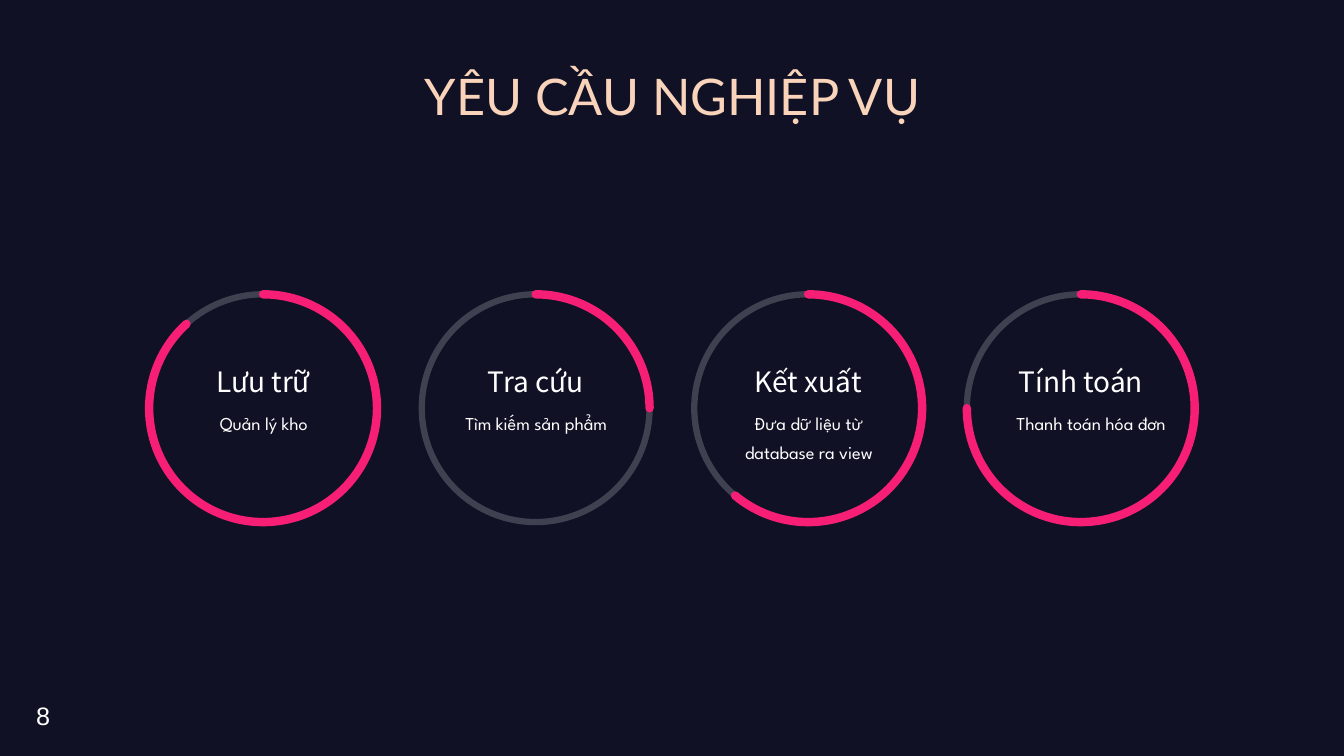
from dataclasses import dataclass

from lxml import etree
from pptx import Presentation
from pptx.dml.color import RGBColor
from pptx.enum.shapes import MSO_SHAPE
from pptx.enum.text import MSO_ANCHOR, PP_ALIGN
from pptx.oxml.ns import qn
from pptx.util import Inches, Pt

ARC = MSO_SHAPE.ARC
CENTER, LEFT = PP_ALIGN.CENTER, PP_ALIGN.LEFT
TOP = MSO_ANCHOR.TOP

COLORS = {"background": "101125", "title": "F9D3BA", "text": "FFFFFF",
          "track": "FFFFFF", "progress": "F71E76"}

RING_TOP, RING_SIZE = 2.92, 2.26
FIRST_LEFT, LAST_LEFT = 1.48, 9.59
ARC_UNITS_PER_DEGREE = 0.6
TRACK_START, TRACK_END = 335.26, 323.7
PROGRESS_START = 270


@dataclass(frozen=True)
class TextStyle:
    font: str
    size: float
    color: str = "text"
    align: PP_ALIGN = CENTER
    line_spacing: float = 1.0
    wrap: bool = True


@dataclass(frozen=True)
class Requirement:
    heading: str
    detail: str
    end_angle: float
    detail_width: float = 1.89
    detail_height: float = 0.36


TITLE = TextStyle("Lato", 36, "title")
HEADING = TextStyle("Noto Sans CJK SC", 20, wrap=False)
DETAIL = TextStyle("League Spartan", 13, line_spacing=1.3)
PAGE_NUMBER = TextStyle("Arial", 18, align=LEFT)

REQUIREMENTS = [
    Requirement("Lưu trữ", "Quản lý kho", 227.76),
    Requirement("Tra cứu", "Tìm kiếm sản phẩm", 0),
    Requirement("Kết xuất", "Đưa dữ liệu từ database ra view", 129.96,
                detail_height=0.64),
    Requirement("Tính toán", "Thanh toán hóa đơn", 180, detail_width=2.08),
]


def rgb(name: str) -> RGBColor:
    return RGBColor.from_string(COLORS[name])


def write_text(s, text: str, style: TextStyle) -> None:
    tf = s.text_frame
    frame_format = {"word_wrap": style.wrap, "vertical_anchor": TOP}
    for name, value in frame_format.items():
        setattr(tf, name, value)
    p = tf.paragraphs[0]
    paragraph_format = {"alignment": style.align, "line_spacing": style.line_spacing,
                        "space_before": Pt(0)}
    for name, value in paragraph_format.items():
        setattr(p, name, value)
    r = p.add_run()
    r.text = text
    font_format = {"name": style.font, "size": Pt(style.size), "bold": False}
    for name, value in font_format.items():
        setattr(r.font, name, value)
    r.font.color.rgb = rgb(style.color)
    for tag in ("a:ea", "a:cs"):
        etree.SubElement(r.font._element, qn(tag), typeface=style.font)


def add_text(shapes, left: float, top: float, width: float, height: float,
             text: str, style: TextStyle) -> None:
    s = shapes.add_textbox(Inches(left), Inches(top), Inches(width), Inches(height))
    write_text(s, text, style)


def add_arc(shapes, left: float, start: float, end: float, color: str,
            weight: float, opacity: int = 100, cap: str = "flat") -> None:
    """Draw a clockwise arc; angles are degrees from three o'clock."""
    s = shapes.add_shape(ARC, Inches(left), Inches(RING_TOP),
                         Inches(RING_SIZE), Inches(RING_SIZE))
    s.shadow.inherit = False
    s.adjustments[0] = start * ARC_UNITS_PER_DEGREE
    s.adjustments[1] = end * ARC_UNITS_PER_DEGREE
    s.fill.background()
    s.line.color.rgb = rgb(color)
    s.line.width = Pt(weight)
    ln = s.line._get_or_add_ln()
    ln.set("cap", cap)
    if opacity < 100:
        etree.SubElement(ln.find(".//" + qn("a:srgbClr")), qn("a:alpha"),
                         val=str(opacity * 1000))


def add_requirement(slide, left: float, item: Requirement) -> None:
    shapes = slide.shapes.add_group_shape().shapes
    add_arc(shapes, left, TRACK_START, TRACK_END, "track", 4.5, opacity=20)
    add_arc(shapes, left, PROGRESS_START, item.end_angle, "progress", 6, cap="rnd")
    add_text(shapes, left + 0.19, 3.98, item.detail_width, item.detail_height,
             item.detail, DETAIL)
    add_text(shapes, left + 0.4, 3.57, RING_SIZE - 0.8, 0.44, item.heading, HEADING)


def add_title(slide, text: str) -> None:
    s = slide.shapes.title
    box = {"left": 3.56, "top": 0.6, "width": 6.22, "height": 0.71}
    for name, value in box.items():
        setattr(s, name, Inches(value))
    write_text(s, text, TITLE)


def main() -> None:
    prs = Presentation()
    prs.slide_width, prs.slide_height = Inches(13.33), Inches(7.5)
    slide = prs.slides.add_slide(prs.slide_layouts[5])
    slide.background.fill.solid()
    slide.background.fill.fore_color.rgb = rgb("background")

    add_title(slide, "YÊU CẦU NGHIỆP VỤ")
    pitch = (LAST_LEFT - FIRST_LEFT) / (len(REQUIREMENTS) - 1)
    for i, item in enumerate(REQUIREMENTS):
        add_requirement(slide, FIRST_LEFT + i * pitch, item)
    add_text(slide.shapes, 0.26, 6.9, 0.65, 0.4, "8", PAGE_NUMBER)
    prs.save("out.pptx")


if __name__ == "__main__":
    main()
